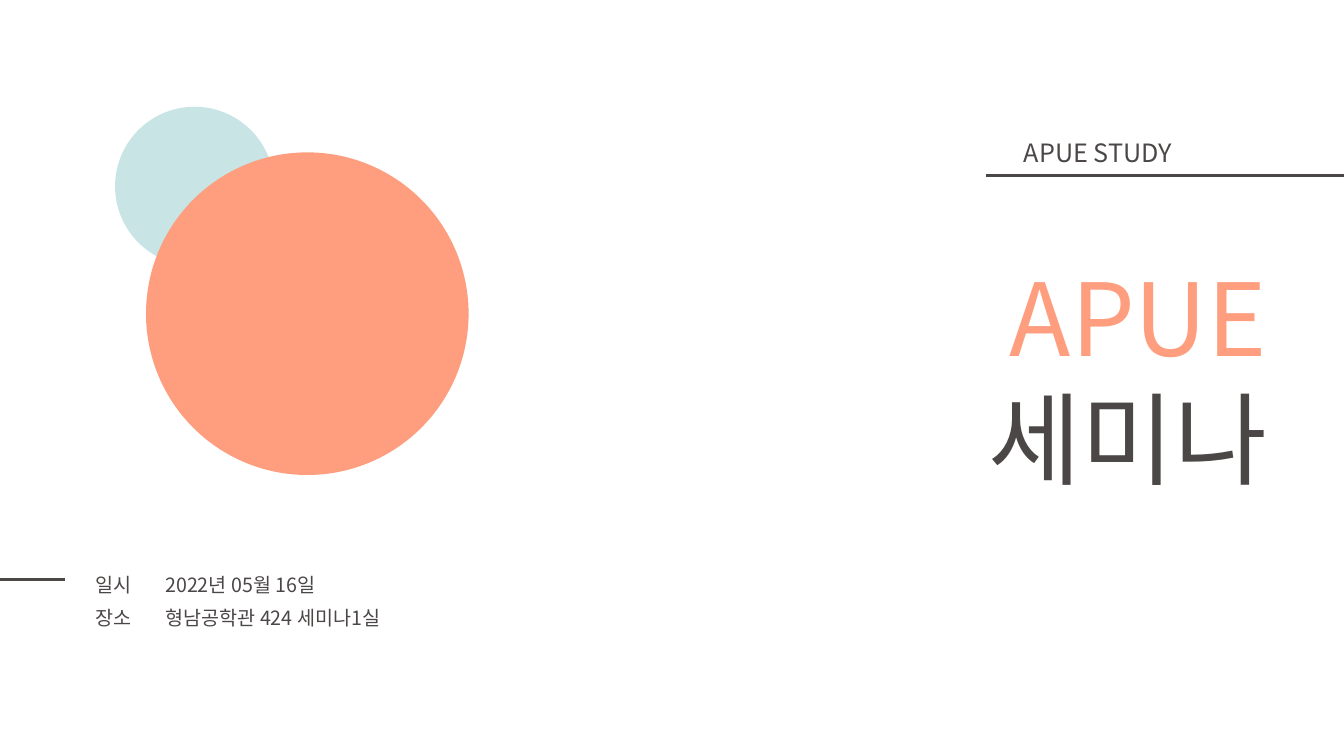
from pptx import Presentation
from pptx.dml.color import RGBColor
from pptx.enum.shapes import MSO_CONNECTOR, MSO_SHAPE
from pptx.enum.text import PP_ALIGN
from pptx.oxml.ns import qn
from pptx.util import Cm, Pt
from lxml import etree

STRAIGHT = MSO_CONNECTOR.STRAIGHT
OVAL = MSO_SHAPE.OVAL
LEFT, RIGHT = PP_ALIGN.LEFT, PP_ALIGN.RIGHT

FONT = "Noto Sans CJK KR"
DARK, CORAL, MINT = "4C4747", "FE9E7E", "C8E4E5"
WIDTH, HEIGHT = 33.87, 19.05

HEADING = [("APUE STUDY", DARK)]
TITLE = [("APUE", CORAL), ("세미나", DARK)]
DETAILS = [("일시", "2022년 05월 16일"), ("장소", "형남공학관 424 세미나1실")]
DETAIL_WIDTHS = (1.75, 10.46)
ROW_HEIGHT = 0.85
CIRCLES = [(2.9, 2.69, 4.01, MINT), (3.68, 3.84, 8.13, CORAL)]
RULES = [(24.84, WIDTH, 4.42), (0, 1.63, 14.61)]


def color(value):
    return RGBColor.from_string(value)


def style(para, size, value, align=LEFT):
    para.alignment = align
    para.font.size = Pt(size)
    para.font.name = FONT
    para.font.color.rgb = color(value)
    for span in para.runs:
        east_asian = etree.SubElement(span._r.get_or_add_rPr(), qn("a:ea"))
        east_asian.set("typeface", FONT)


def add_text(page, place, lines, size, align=LEFT, spacing=1.0):
    box = page.shapes.add_textbox(*map(Cm, place))
    frame = box.text_frame
    frame.word_wrap = False
    frame.text = "\n".join(text for text, _ in lines)
    for para, (_, value) in zip(frame.paragraphs, lines):
        style(para, size, value, align)
        para.line_spacing = spacing


def add_rule(page, start, end, top):
    rule = page.shapes.add_connector(STRAIGHT, Cm(start), Cm(top), Cm(end), Cm(top))
    rule.line.color.rgb = color(DARK)
    rule.line.width = Pt(2.25)
    etree.SubElement(rule._element.spPr, qn("a:effectLst"))


def add_circle(page, left, top, size, value):
    circle = page.shapes.add_shape(OVAL, Cm(left), Cm(top), Cm(size), Cm(size))
    circle.shadow.inherit = False
    circle.fill.solid()
    circle.fill.fore_color.rgb = color(value)
    circle.line.fill.background()


def add_details(page, left, top):
    table = page.shapes.add_table(
        len(DETAILS), len(DETAIL_WIDTHS), Cm(left), Cm(top),
        Cm(sum(DETAIL_WIDTHS)), Cm(ROW_HEIGHT * len(DETAILS))).table
    table.first_row = False
    table.horz_banding = False
    for column, width in zip(table.columns, DETAIL_WIDTHS):
        column.width = Cm(width)
    for row, texts in zip(table.rows, DETAILS):
        row.height = Cm(ROW_HEIGHT)
        for cell, text in zip(row.cells, texts):
            cell.text = text
            cell.fill.background()
            style(cell.text_frame.paragraphs[0], 14, DARK)


deck = Presentation()
deck.slide_width, deck.slide_height = Cm(WIDTH), Cm(HEIGHT)
page = deck.slides.add_slide(deck.slide_layouts[6])

for rule in RULES:
    add_rule(page, *rule)
add_text(page, (25.55, 3.33, 4.27, 1.02), HEADING, 18)
add_text(page, (23.98, 6.32, 8.2, 6.4), TITLE, 72, RIGHT)
add_details(page, 2.16, 14.22)
for circle in CIRCLES:
    add_circle(page, *circle)

deck.save("out.pptx")
